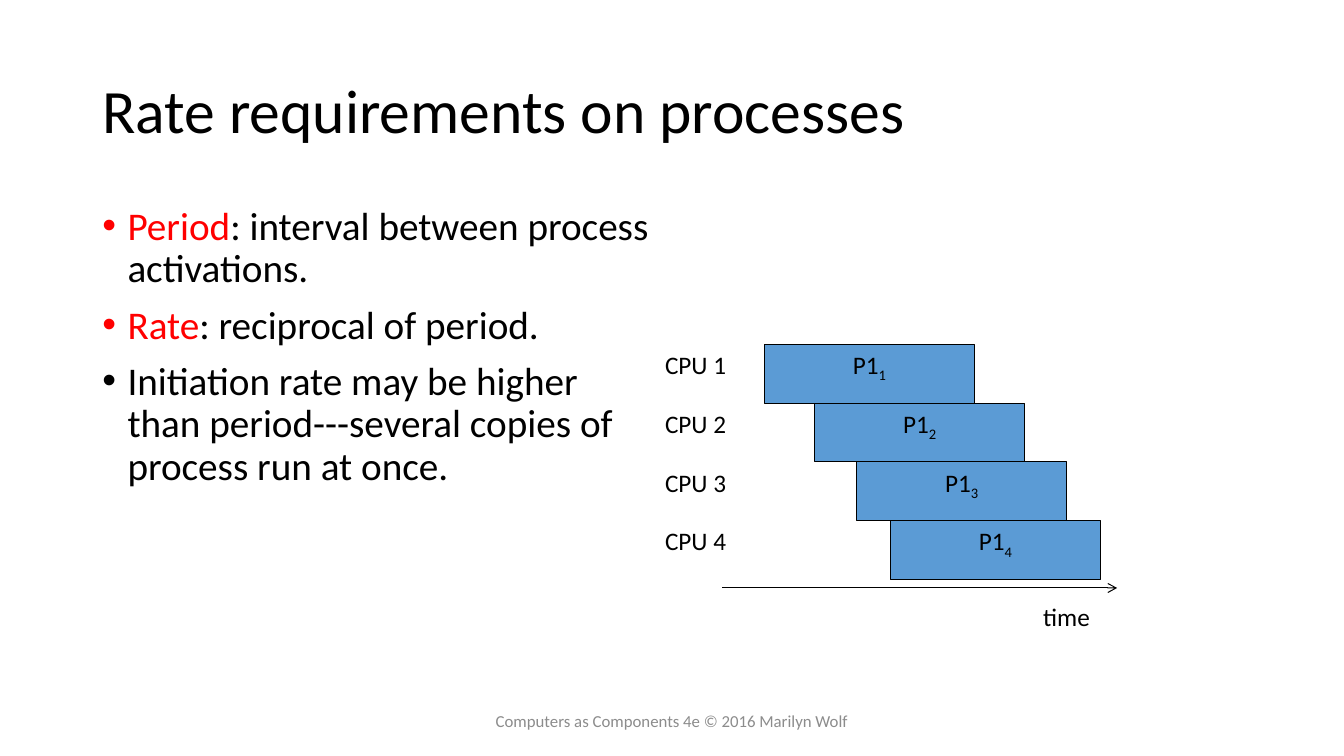
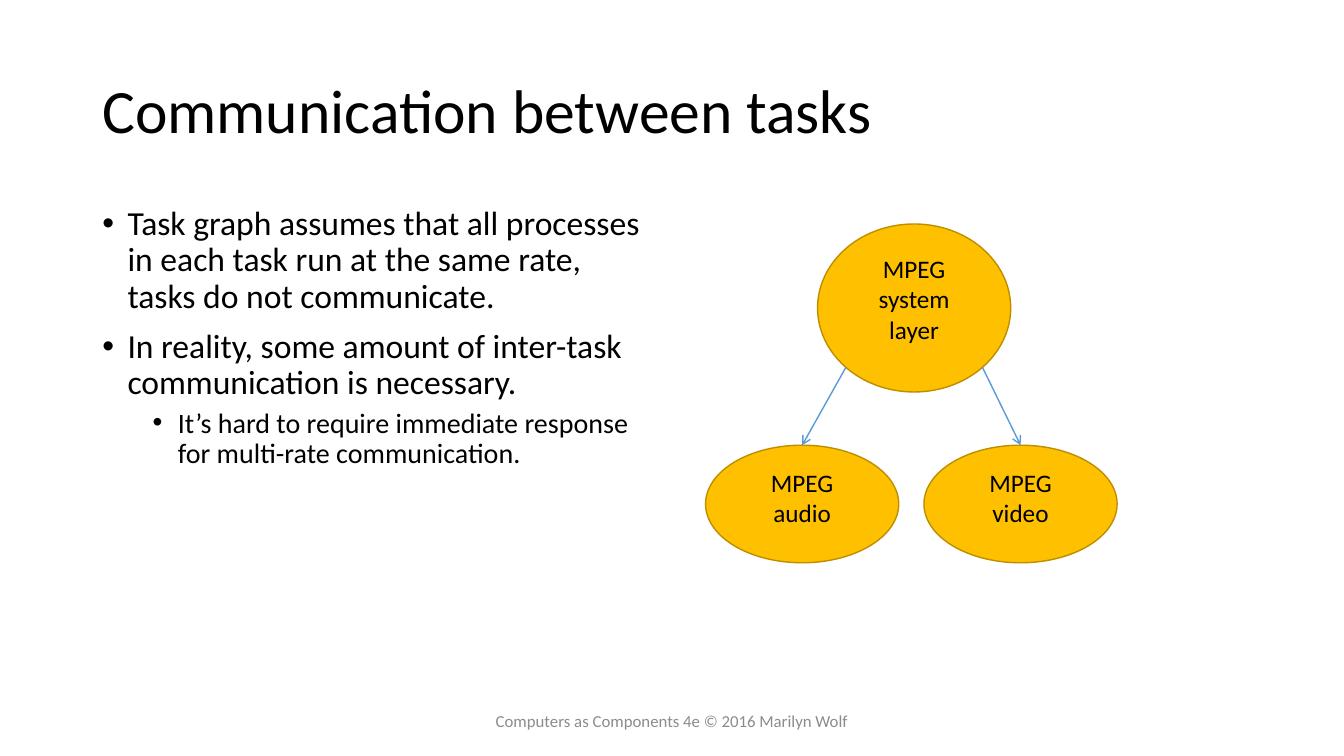
import math
from pptx import Presentation
from pptx.dml.color import RGBColor
from pptx.enum import shapes, text
from pptx.oxml import ns, xmlchemy
from pptx.util import Pt

FONT = "Calibri"
HUES = {"ink": "000000", "key": "FF0000", "foot": "8C8C8C",
        "bar": "5B9BD5", "node": "FFC000", "rim": "BD8E00"}
FOOT = "Computers as Components 4e © 2016 Marilyn Wolf"

RATE = {
    "title": "Rate requirements on processes",
    "sizes": (28, 24),
    "points": [
        (0, [("Period", "key"), (": interval between process activations.", "ink")]),
        (0, [("Rate", "key"), (": reciprocal of period.", "ink")]),
        (0, [("Initiation rate may be higher than period---several copies "
              "of process run at once.", "ink")]),
    ],
}
TASKS = {
    "title": "Communication between tasks",
    "sizes": (24, 20),
    "points": [
        (0, [("Task graph assumes that all processes in each task run at "
              "the same rate, tasks do not communicate.", "ink")]),
        (0, [("In reality, some amount of inter-task communication is "
              "necessary.", "ink")]),
        (1, [("It’s hard to require immediate response for multi-rate "
              "communication.", "ink")]),
    ],
}

STARTS = [546, 582, 612, 636]
BAR_TOP, BAR_W, BAR_H = 246, 150, 42
ROOT = ("MPEG system layer", (584, 160, 138, 120))
LEAVES = [("MPEG audio", -1), ("MPEG video", 1)]
LEAF_LEFT, LEAF_TOP, LEAF_W, LEAF_H, LEAF_GAP = 504, 318, 138, 84, 18


def rgb(hue):
    return RGBColor.from_string(HUES[hue])


def tag(parent, name, **attrs):
    node = xmlchemy.OxmlElement(name)
    for key, val in attrs.items():
        node.set(key, val)
    parent.append(node)


def add_run(para, words, size, hue="ink", sub=False):
    run = para.add_run()
    run.text = words
    run.font.name, run.font.size = FONT, Pt(size)
    run.font.color.rgb = rgb(hue)
    if sub:
        run._r.get_or_add_rPr().set("baseline", "-25000")


def add_text(slide, box, words, size, hue="ink", wrap=True, mid=False):
    frame = slide.shapes.add_textbox(*map(Pt, box)).text_frame
    frame.word_wrap = wrap
    if mid:
        frame.vertical_anchor = text.MSO_ANCHOR.MIDDLE
    para = frame.paragraphs[0]
    if words:
        add_run(para, words, size, hue)
    return para


def add_body(slide, points, sizes):
    box = slide.shapes.add_textbox(Pt(66), Pt(144), Pt(408), Pt(342))
    frame = box.text_frame
    frame.word_wrap = True
    for num, (level, runs) in enumerate(points):
        para = frame.add_paragraph() if num else frame.paragraphs[0]
        para.level = level
        props = para._p.get_or_add_pPr()
        props.set("marL", str(Pt(18 + 36 * level)))
        props.set("indent", str(Pt(-18)))
        tag(props, "a:buFont", typeface="Arial")
        tag(props, "a:buChar", char="•")
        para.line_spacing = 0.9
        if num:
            para.space_before = Pt(5 if level else 10)
        for words, hue in runs:
            add_run(para, words, sizes[level], hue)


def add_form(slide, kind, box, fill, edge, width, words, sub=""):
    form = slide.shapes.add_shape(kind, *map(Pt, box))
    form.shadow.inherit = False
    form.fill.solid()
    form.fill.fore_color.rgb = rgb(fill)
    form.line.color.rgb = rgb(edge)
    form.line.width = Pt(width)
    frame = form.text_frame
    frame.word_wrap = True
    frame.vertical_anchor = text.MSO_ANCHOR.TOP
    para = frame.paragraphs[0]
    para.alignment = text.PP_ALIGN.CENTER
    add_run(para, words, 18)
    if sub:
        add_run(para, sub, 18, sub=True)
    return form


def add_arrow(slide, start, end, hue, width):
    arrow = slide.shapes.add_connector(
        shapes.MSO_CONNECTOR.STRAIGHT, *map(Pt, start + end))
    arrow.line.color.rgb = rgb(hue)
    arrow.line.width = Pt(width)
    props = arrow._element.spPr
    tag(props.find(ns.qn("a:ln")), "a:tailEnd", type="arrow")
    tag(props, "a:effectLst")
    return arrow


def add_slide(deck, data):
    slide = deck.slides.add_slide(deck.slide_layouts[6])
    title = add_text(slide, (66, 28.75, 828, 104.4), data["title"], 44, mid=True)
    title.line_spacing = 0.9
    add_body(slide, data["points"], data["sizes"])
    foot = add_text(slide, (318, 500.5, 324, 28.75), FOOT, 12, "foot", mid=True)
    foot.alignment = text.PP_ALIGN.CENTER
    return slide


def draw_chart(slide):
    add_arrow(slide, (516, 420), (798, 420), "ink", 0.75)
    add_text(slide, (738, 426, 48, 29), "time", 18, wrap=False)
    for num, left in enumerate(STARTS):
        top = BAR_TOP + num * BAR_H
        add_form(slide, shapes.MSO_SHAPE.RECTANGLE, (left, top, BAR_W, BAR_H),
                 "bar", "ink", 0.75, "P1", str(num + 1))
        add_text(slide, (468, top, 58, 29), f"CPU {num + 1}", 18, wrap=False)


def draw_graph(slide):
    oval = shapes.MSO_SHAPE.OVAL
    words, (left, top, wide, high) = ROOT
    add_form(slide, oval, ROOT[1], "node", "rim", 1, words)
    half = math.sqrt(0.5) / 2
    for num, (words, side) in enumerate(LEAVES):
        x = LEAF_LEFT + num * (LEAF_W + LEAF_GAP)
        leaf = add_form(slide, oval, (x, LEAF_TOP, LEAF_W, LEAF_H),
                        "node", "rim", 1, words)
        start = (left + wide * (0.5 + side * half), top + high * (0.5 + half))
        arrow = add_arrow(slide, start, (x + LEAF_W / 2, LEAF_TOP), "bar", 1)
        arrow.end_connect(leaf, 0)


def main():
    deck = Presentation()
    deck.slide_width, deck.slide_height = Pt(960), Pt(540)
    draw_chart(add_slide(deck, RATE))
    draw_graph(add_slide(deck, TASKS))
    deck.save("out.pptx")


if __name__ == "__main__":
    main()
